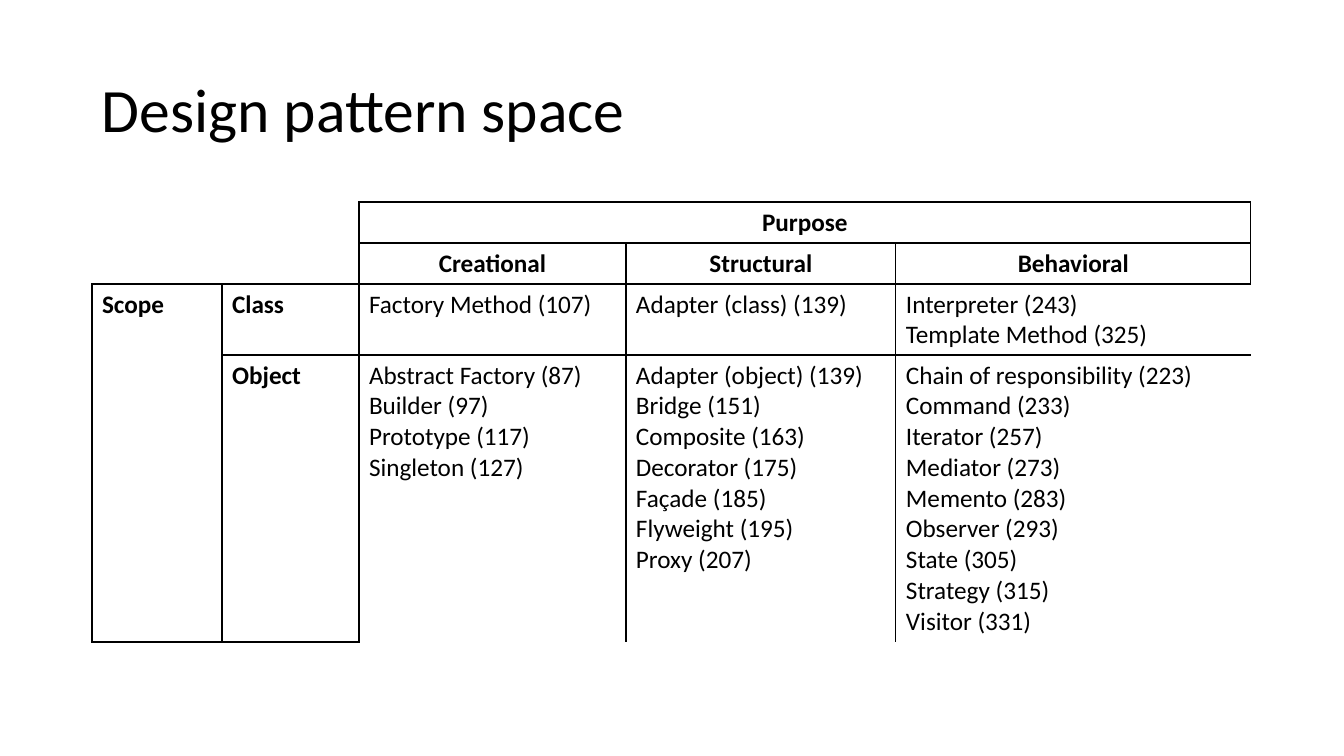
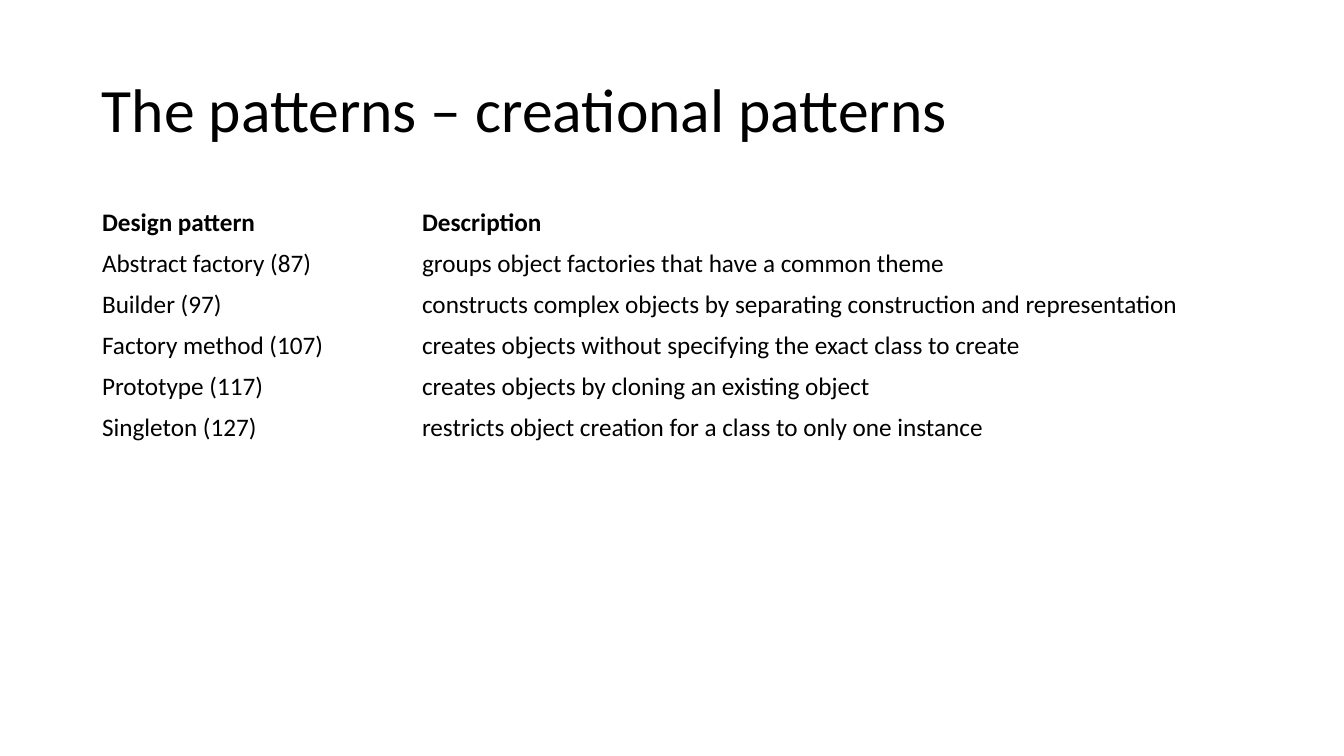
from dataclasses import dataclass

from lxml.etree import SubElement
from pptx import Presentation
from pptx.dml.color import RGBColor
from pptx.enum.text import MSO_ANCHOR, PP_ALIGN
from pptx.oxml.ns import qn
from pptx.presentation import Presentation as Deck
from pptx.slide import Slide
from pptx.table import _Cell as TableCell
from pptx.text.text import TextFrame
from pptx.util import Emu, Pt

PX_PER_INCH = 100.8
SLIDE_WIDTH, SLIDE_HEIGHT = 1344, 756
LEFT, CONTENT_WIDTH = 92, 1159
TITLE_TOP, TITLE_HEIGHT = 40, 146
TABLE_TOP, ROW_HEIGHT = 202, 41

BLACK = RGBColor(0x00, 0x00, 0x00)
FONT = "Calibri"
TITLE_SIZE, BODY_SIZE = 44, 18
BORDER_WIDTH = Pt(1)
NO_GRID_STYLE = "{2D5ABB26-0587-4C30-8999-92F81FD0307C}"


@dataclass(frozen=True)
class Entry:
    text: str = ""
    borders: str = ""
    bold: bool = False
    centered: bool = False
    rows: int = 1
    columns: int = 1


@dataclass(frozen=True)
class Grid:
    title: str
    column_widths: tuple[int, ...]
    row_heights: tuple[int, ...]
    entries: tuple[tuple[Entry, ...], ...]


def label(text: str, borders: str = "", rows: int = 1) -> Entry:
    return Entry(text, borders, bold=True, rows=rows)


def heading(text: str, columns: int = 1) -> Entry:
    return Entry(text, "LRTB", bold=True, centered=True, columns=columns)


def listing(borders: str, *patterns: str) -> Entry:
    return Entry("\n".join(patterns), borders)


PATTERN_SPACE = Grid(
    "Design pattern space",
    (130, 137, 267, 270, 355),
    (ROW_HEIGHT, ROW_HEIGHT, 71, 287),
    (
        (Entry(), Entry(borders="R"), heading("Purpose", columns=3),
         Entry(borders="TB"), Entry(borders="RTB")),
        (Entry(borders="B"), Entry(borders="RB"), heading("Creational"),
         heading("Structural"), heading("Behavioral")),
        (label("Scope", "LRTB", rows=2), label("Class", "LRTB"),
         listing("LRTB", "Factory Method (107)"),
         listing("LTB", "Adapter (class) (139)"),
         listing("TB", "Interpreter (243)", "Template Method (325)")),
        (Entry(borders="LRB"), label("Object", "LRTB"),
         listing("LRT", "Abstract Factory (87)", "Builder (97)",
                 "Prototype (117)", "Singleton (127)"),
         listing("LT", "Adapter (object) (139)", "Bridge (151)",
                 "Composite (163)", "Decorator (175)", "Façade (185)",
                 "Flyweight (195)", "Proxy (207)"),
         listing("T", "Chain of responsibility (223)", "Command (233)",
                 "Iterator (257)", "Mediator (273)", "Memento (283)",
                 "Observer (293)", "State (305)", "Strategy (315)",
                 "Visitor (331)")),
    ),
)

CREATIONAL_DESCRIPTIONS = (
    ("Abstract factory (87)", "groups object factories that have a common theme"),
    ("Builder (97)",
     "constructs complex objects by separating construction and representation"),
    ("Factory method (107)",
     "creates objects without specifying the exact class to create"),
    ("Prototype (117)", "creates objects by cloning an existing object"),
    ("Singleton (127)",
     "restricts object creation for a class to only one instance"),
)

CREATIONAL_PATTERNS = Grid(
    "The patterns – creational patterns",
    (320, 839),
    (ROW_HEIGHT,) * (len(CREATIONAL_DESCRIPTIONS) + 1),
    (
        (label("Design pattern"), label("Description")),
        *((Entry(pattern), Entry(description))
          for pattern, description in CREATIONAL_DESCRIPTIONS),
    ),
)


def px(length: int) -> Emu:
    return Emu(round(length * 914400 / PX_PER_INCH))


def format_text(frame: TextFrame, size: int, bold: bool = False) -> None:
    for paragraph in frame.paragraphs:
        for run in paragraph.runs:
            run.font.name = FONT
            run.font.size = Pt(size)
            run.font.bold = bold
            run.font.color.rgb = BLACK


def add_title(slide: Slide, title: str) -> None:
    frame = slide.shapes.add_textbox(
        px(LEFT), px(TITLE_TOP), px(CONTENT_WIDTH), px(TITLE_HEIGHT)
    ).text_frame
    frame.word_wrap = True
    frame.vertical_anchor = MSO_ANCHOR.MIDDLE
    frame.text = title
    frame.paragraphs[0].line_spacing = 0.9
    format_text(frame, TITLE_SIZE)


def set_borders(cell: TableCell, sides: str) -> None:
    properties = cell._tc.get_or_add_tcPr()
    for side in sides:
        line = SubElement(properties, qn(f"a:ln{side}"), w=str(BORDER_WIDTH))
        fill = SubElement(line, qn("a:solidFill"))
        SubElement(fill, qn("a:srgbClr"), val=str(BLACK))


def fill_cell(cell: TableCell, entry: Entry) -> None:
    set_borders(cell, entry.borders)
    cell.fill.background()
    if not entry.text:
        return
    cell.text_frame.text = entry.text
    format_text(cell.text_frame, BODY_SIZE, entry.bold)
    if entry.centered:
        for paragraph in cell.text_frame.paragraphs:
            paragraph.alignment = PP_ALIGN.CENTER


def add_grid(slide: Slide, grid: Grid) -> None:
    frame = slide.shapes.add_table(
        len(grid.row_heights), len(grid.column_widths),
        px(LEFT), px(TABLE_TOP),
        px(sum(grid.column_widths)), px(sum(grid.row_heights)),
    )
    next(frame.element.iter(qn("a:tableStyleId"))).text = NO_GRID_STYLE
    table = frame.table
    table.first_row = False
    table.horz_banding = False
    for column, width in zip(table.columns, grid.column_widths):
        column.width = px(width)
    for row, height in zip(table.rows, grid.row_heights):
        row.height = px(height)
    for r, entries in enumerate(grid.entries):
        for c, entry in enumerate(entries):
            cell = table.cell(r, c)
            fill_cell(cell, entry)
            if entry.rows > 1 or entry.columns > 1:
                cell.merge(table.cell(r + entry.rows - 1, c + entry.columns - 1))


def add_grid_slide(deck: Deck, grid: Grid) -> None:
    slide = deck.slides.add_slide(deck.slide_layouts[6])
    add_title(slide, grid.title)
    add_grid(slide, grid)


def main() -> None:
    deck = Presentation()
    deck.slide_width = px(SLIDE_WIDTH)
    deck.slide_height = px(SLIDE_HEIGHT)
    for grid in (PATTERN_SPACE, CREATIONAL_PATTERNS):
        add_grid_slide(deck, grid)
    deck.save("out.pptx")


if __name__ == "__main__":
    main()
